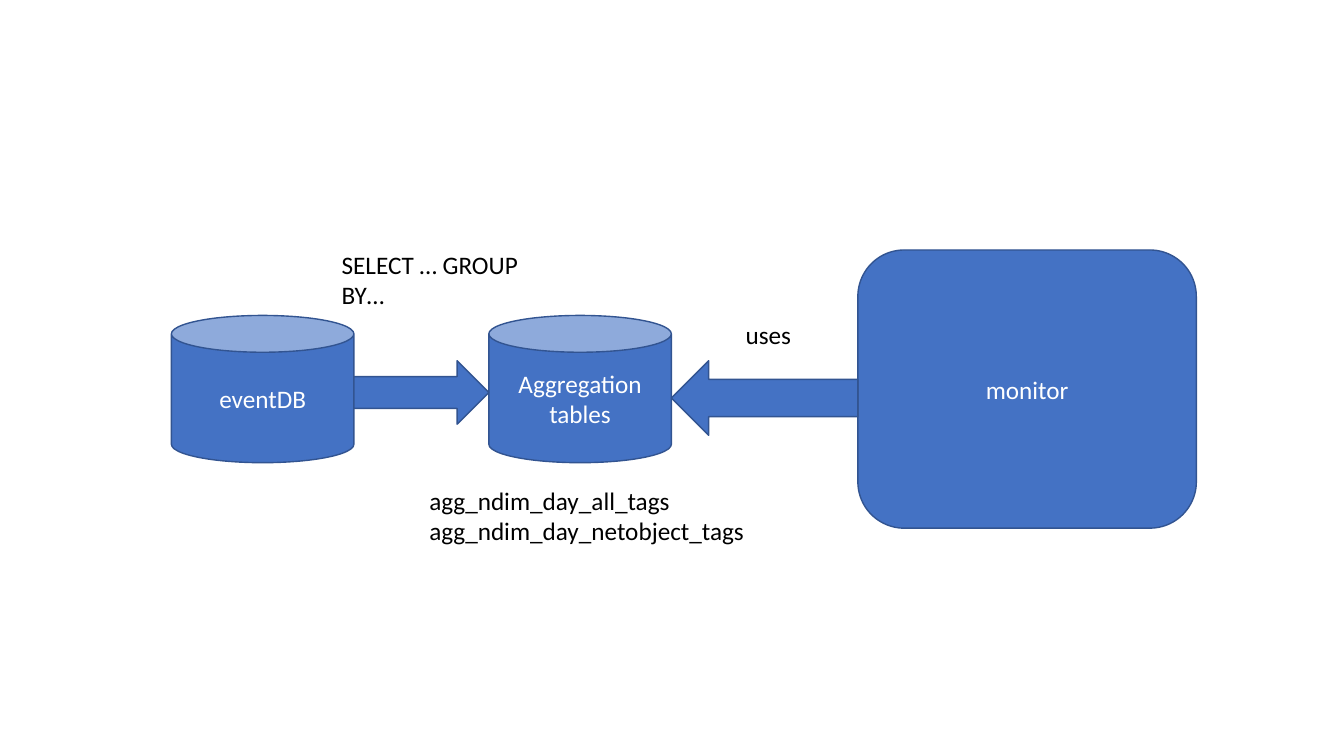
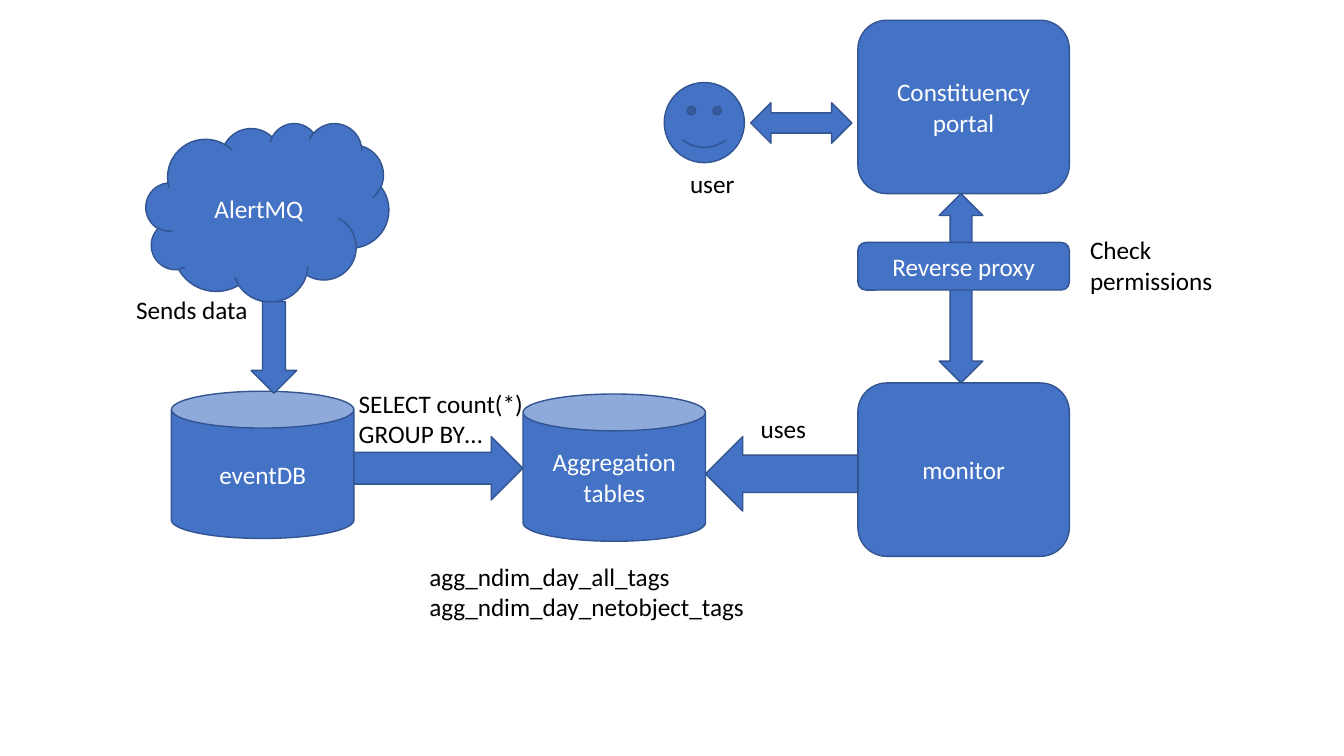
from dataclasses import dataclass

from pptx import Presentation
from pptx.dml.color import RGBColor
from pptx.enum.shapes import MSO_SHAPE
from pptx.enum.text import MSO_ANCHOR, MSO_AUTO_SIZE, PP_ALIGN
from pptx.util import Cm, Pt

CAN = MSO_SHAPE.CAN
CLOUD = MSO_SHAPE.CLOUD
ROUNDED = MSO_SHAPE.ROUNDED_RECTANGLE
SMILEY = MSO_SHAPE.SMILEY_FACE
RIGHT = MSO_SHAPE.RIGHT_ARROW
LEFT = MSO_SHAPE.LEFT_ARROW
DOWN = MSO_SHAPE.DOWN_ARROW
LEFT_RIGHT = MSO_SHAPE.LEFT_RIGHT_ARROW
UP_DOWN = MSO_SHAPE.UP_DOWN_ARROW
MIDDLE = MSO_ANCHOR.MIDDLE
CENTER = PP_ALIGN.CENTER
GROW = MSO_AUTO_SIZE.SHAPE_TO_FIT_TEXT

BLUE = RGBColor(0x44, 0x72, 0xC4)
OUTLINE = RGBColor(0x32, 0x54, 0x91)
WHITE = RGBColor(0xFF, 0xFF, 0xFF)
BLACK = RGBColor(0x00, 0x00, 0x00)
FONT = "Calibri"
TEXT_SIZE = Pt(18)

ONE_LINE = 1.02
TWO_LINES = 1.8
LABEL_WIDTH = 5.82
CAN_WIDTH, CAN_HEIGHT = 4.6, 3.71
ARROW_DROP = 1.14


@dataclass
class Box:
    left: float
    top: float
    width: float
    height: float

    @property
    def right(self):
        return self.left + self.width

    @property
    def bottom(self):
        return self.top + self.height

    def inner(self, dx, dy, width, height):
        return Box(self.left + dx, self.top + dy, width, height)

    def lengths(self):
        return Cm(self.left), Cm(self.top), Cm(self.width), Cm(self.height)


def write(paragraph, text, color):
    run = paragraph.add_run()
    run.text = text
    run.font.name = FONT
    run.font.size = TEXT_SIZE
    run.font.color.rgb = color


def add_node(slide, kind, box, text=None):
    node = slide.shapes.add_shape(kind, *box.lengths())
    node.shadow.inherit = False
    node.fill.solid()
    node.fill.fore_color.rgb = BLUE
    node.line.color.rgb = OUTLINE
    node.line.width = Pt(1)
    if text:
        frame = node.text_frame
        frame.word_wrap = True
        frame.vertical_anchor = MIDDLE
        frame.paragraphs[0].alignment = CENTER
        write(frame.paragraphs[0], text, WHITE)


def add_label(slide, box, *lines):
    frame = slide.shapes.add_textbox(*box.lengths()).text_frame
    frame.word_wrap = True
    frame.auto_size = GROW
    for index, line in enumerate(lines):
        paragraph = frame.add_paragraph() if index else frame.paragraphs[0]
        write(paragraph, line, BLACK)


def add_pipeline(slide, box, tables_offset, dashboard, query, query_offset, uses_offset):
    events = box.inner(0, 0, CAN_WIDTH, CAN_HEIGHT)
    tables = box.inner(*tables_offset, CAN_WIDTH, CAN_HEIGHT)
    add_node(slide, CAN, events, "eventDB")
    add_node(slide, CAN, tables, "Aggregation tables")
    add_node(slide, ROUNDED, dashboard, "monitor")
    add_node(slide, RIGHT, box.inner(CAN_WIDTH, ARROW_DROP, tables.left - events.right, 1.6))
    add_label(slide, box.inner(*query_offset, LABEL_WIDTH, TWO_LINES), query)
    add_node(slide, LEFT, Box(tables.right, box.top + ARROW_DROP,
                              dashboard.left - tables.right, 1.88))
    add_label(slide, box.inner(*uses_offset, LABEL_WIDTH, ONE_LINE), "uses")
    add_label(slide, box.inner(6.25, 4.15, 9.37, TWO_LINES),
              "agg_ndim_day_all_tags", "agg_ndim_day_netobject_tags")


def add_access(slide, box, dashboard):
    portal = Box(dashboard.left, box.top, dashboard.width, dashboard.height)
    add_node(slide, UP_DOWN, Box(23.67, portal.bottom, 1.1, dashboard.top - portal.bottom))
    add_node(slide, ROUNDED, portal, "Constituency portal")
    add_node(slide, ROUNDED, portal.inner(0, 5.6, portal.width, 1.2), "Reverse proxy")
    add_label(slide, portal.inner(5.6, 5.28, 4.11, TWO_LINES), "Check permissions")
    add_node(slide, SMILEY, box.inner(0, 1.57, 2.02, 2.02))
    add_node(slide, LEFT_RIGHT, box.inner(2.18, 2.08, 2.55, 1.02))
    add_label(slide, box.inner(0.4, 3.6, 3.02, ONE_LINE), "user")


def add_intake(slide, box):
    cloud = box.inner(0.5, 0, 6.12, 4.5)
    add_node(slide, CLOUD, cloud, "AlertMQ")
    add_node(slide, DOWN, Box(box.left + 3.15, cloud.bottom, 1.15, box.bottom - cloud.bottom))
    add_label(slide, box.inner(0, 4.19, LABEL_WIDTH, ONE_LINE), "Sends data")


def build_aggregation(slide):
    dashboard = Box(21.62, 6.3, 8.53, 7.01)
    add_pipeline(slide, Box(4.32, 7.95, 25.83, 5.95), (8, 0), dashboard,
                 "SELECT … GROUP BY…", (4.04, -1.8), (14.22, -0.03))


def build_architecture(slide):
    dashboard = Box(21.62, 9.65, 5.33, 4.37)
    add_access(slide, Box(16.74, 0.51, 14.58, 9.14), dashboard)
    add_pipeline(slide, Box(4.32, 9.86, 22.63, 5.95), (8.86, 0.07), dashboard,
                 "SELECT count(*) GROUP BY…", (4.47, -0.21), (14.6, 0.43))
    add_intake(slide, Box(3.18, 3.1, 6.62, 6.81))


presentation = Presentation()
presentation.slide_width = Cm(33.87)
presentation.slide_height = Cm(19.05)
blank = presentation.slide_layouts[6]
for build in (build_aggregation, build_architecture):
    build(presentation.slides.add_slide(blank))
presentation.save("out.pptx")
